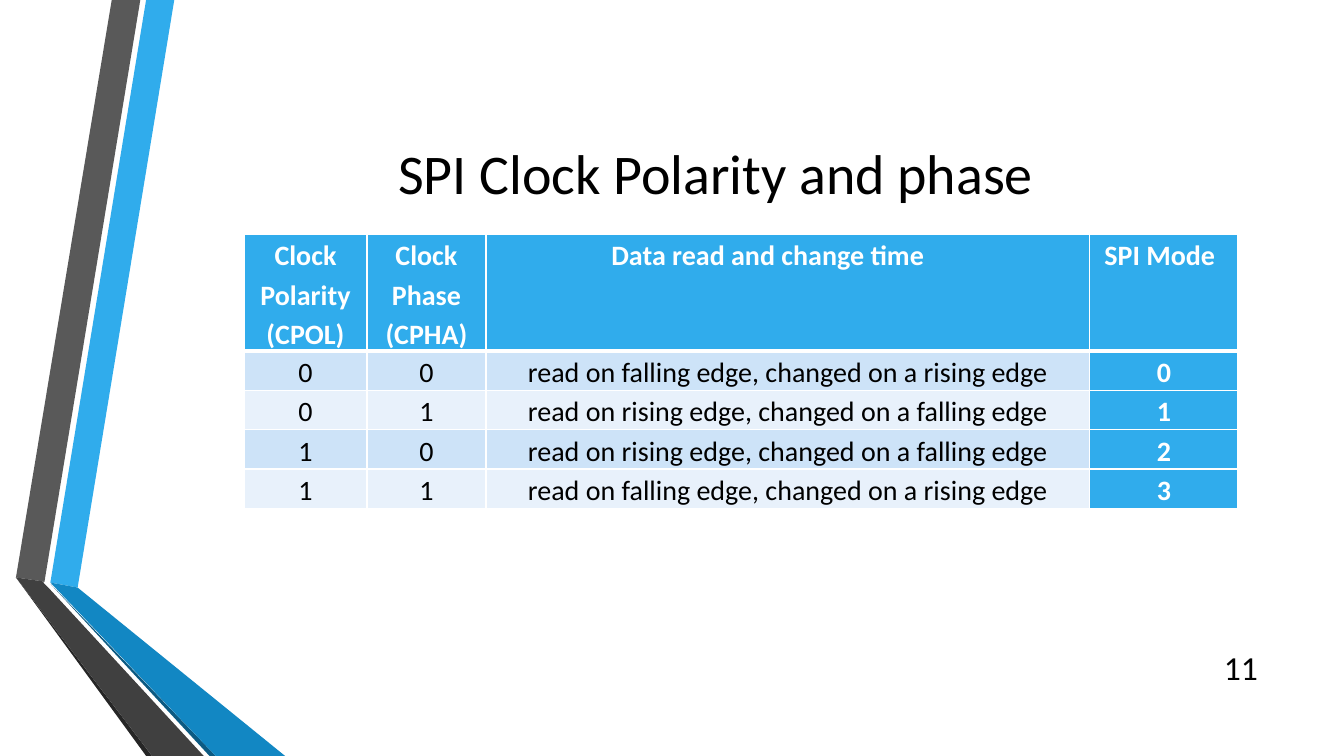
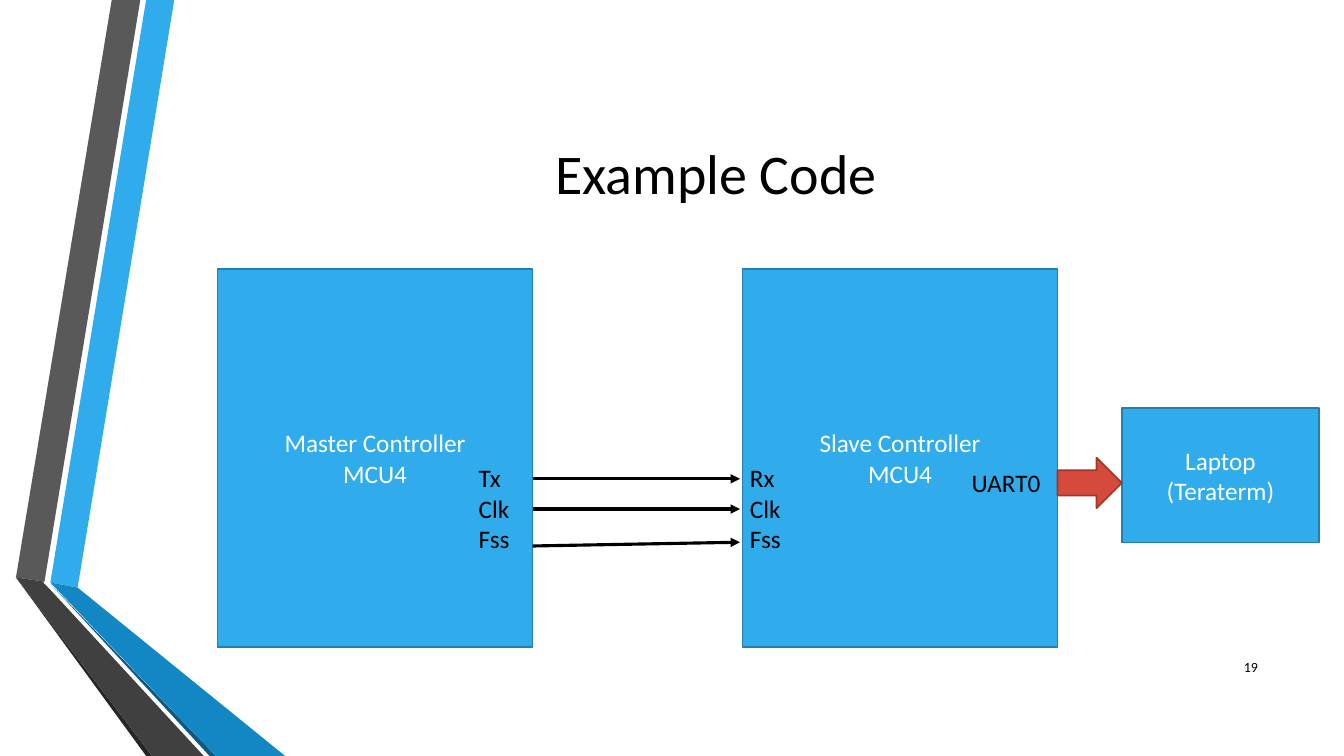
from dataclasses import dataclass
from typing import NamedTuple

from lxml import etree
from pptx import Presentation
from pptx.dml.color import RGBColor
from pptx.enum.shapes import MSO_CONNECTOR, MSO_SHAPE
from pptx.enum.text import MSO_ANCHOR, PP_ALIGN
from pptx.oxml.ns import qn
from pptx.shapes.autoshape import Shape
from pptx.slide import Slide, SlideLayout
from pptx.table import _Cell
from pptx.text.text import TextFrame
from pptx.util import Inches, Pt

SLIDE_WIDTH = Inches(13.333)
SLIDE_HEIGHT = Inches(7.5)
GRID_COLUMNS = 32
GRID_ROWS = 18
TITLE_ONLY = 5
LEFT, CENTER, RIGHT = PP_ALIGN.LEFT, PP_ALIGN.CENTER, PP_ALIGN.RIGHT
TOP, MIDDLE = MSO_ANCHOR.TOP, MSO_ANCHOR.MIDDLE
RECTANGLE, RIGHT_ARROW = MSO_SHAPE.RECTANGLE, MSO_SHAPE.RIGHT_ARROW
STRAIGHT = MSO_CONNECTOR.STRAIGHT


@dataclass(frozen=True)
class Theme:
    font: str = "Calibri"
    black: str = "000000"
    white: str = "FFFFFF"
    blue: str = "30ACEC"
    blue_edge: str = "247FAF"
    blue_fold: str = "1287C3"
    blue_shadow: str = "0C5A82"
    gray: str = "595959"
    gray_fold: str = "404040"
    gray_shadow: str = "262626"
    red: str = "D64A3B"
    red_edge: str = "9E372C"
    band_dark: str = "CDE3F8"
    band_light: str = "E8F1FB"
    title_size: float = 40
    table_size: float = 20
    label_size: float = 18
    edge_width: float = 1.25
    signal_width: float = 2.25
    cell_border: float = 1
    header_border: float = 3


THEME = Theme()


class Frame(NamedTuple):
    left: float
    top: float
    width: float
    height: float

    @property
    def right(self) -> float:
        return self.left + self.width

    def emu(self) -> tuple[int, int, int, int]:
        return (columns(self.left), rows(self.top), columns(self.width), rows(self.height))


class Ribbon(NamedTuple):
    color: str
    points: tuple[tuple[float, float], ...]


class TextStyle(NamedTuple):
    size: float
    color: str = THEME.black
    alignment: PP_ALIGN = LEFT
    anchor: MSO_ANCHOR = TOP
    bold: bool = False
    spacing: float = 1.0


class Block(NamedTuple):
    frame: Frame
    lines: tuple[str, ...]


class Signal(NamedTuple):
    start_row: float
    end_row: float


class TableColumn(NamedTuple):
    width: float
    heading: tuple[str, ...]
    values: tuple[str, ...]
    heading_shift: float = 0


TITLE_FRAME = Frame(3.89, 1.8, 26.3, 4.6)
NUMBER_FRAME = Frame(28.75, 15.4, 1.44, 0.96)
TITLE_STYLE = TextStyle(THEME.title_size, alignment=CENTER, anchor=MIDDLE)
PORT_STYLE = TextStyle(THEME.label_size)
BLOCK_STYLE = TextStyle(THEME.label_size, THEME.white, CENTER, MIDDLE)
BODY_STYLE = TextStyle(THEME.table_size, alignment=CENTER, spacing=1.15)
STRONG_STYLE = BODY_STYLE._replace(color=THEME.white, bold=True)

RIBBONS = (
    Ribbon(THEME.blue, ((1.2, 13.87), (1.85, 13.99), (4.15, 0), (3.48, 0))),
    Ribbon(THEME.gray, ((3.34, 0), (2.66, 0), (0.38, 13.75), (1.06, 13.85))),
    Ribbon(THEME.gray_shadow, ((0.38, 13.75), (3.48, 18), (3.62, 18))),
    Ribbon(THEME.blue_shadow, ((1.2, 13.9), (4.99, 18), (5.14, 18))),
    Ribbon(THEME.blue_fold, ((1.2, 13.87), (5.14, 18), (6.79, 18), (1.85, 13.99))),
    Ribbon(
        THEME.gray_fold,
        ((4.85, 18), (1.15, 13.99), (1.03, 13.87), (1.06, 13.85), (0.38, 13.75), (3.62, 18)),
    ),
)

FALLING = "read on falling edge, changed on a rising edge"
RISING = "read on rising edge, changed on a falling edge"
MODE_COLUMNS = (
    TableColumn(2.93, ("Clock", "Polarity (CPOL)"), ("0", "0", "1", "1")),
    TableColumn(2.83, ("Clock", "Phase (CPHA)"), ("0", "1", "0", "1")),
    TableColumn(14.38, ("Data read and change time",), (FALLING, RISING, RISING, FALLING), 0.96),
    TableColumn(3.53, ("SPI Mode",), ("0", "1", "2", "3"), 0.2),
)
TABLE_LEFT, TABLE_TOP = 5.81, 5.57
HEADER_HEIGHT, ROW_HEIGHT = 2.78, 0.94
CELL_MARGIN = 0.31

MASTER = Block(Frame(5.18, 6.4, 7.5, 9), ("Master Controller", "MCU4"))
SLAVE = Block(MASTER.frame._replace(left=MASTER.frame.right + 5), ("Slave Controller", "MCU4"))
LAPTOP = Block(Frame(26.71, 9.72, 4.7, 3.2), ("Laptop (Teraterm)",))
PORTS = (
    Block(Frame(11.16, 10.9, 1.53, 2.42), ("Tx", "Clk", "Fss")),
    Block(Frame(17.62, 10.9, 1.53, 2.42), ("Rx", "Clk", "Fss")),
    Block(Frame(22.9, 11.02, 2.28, 0.96), ("UART0",)),
)
SIGNALS = (Signal(11.4, 11.4), Signal(12.12, 12.12), Signal(13, 12.91))


def columns(count: float) -> int:
    return round(SLIDE_WIDTH * count / GRID_COLUMNS)


def rows(count: float) -> int:
    return round(SLIDE_HEIGHT * count / GRID_ROWS)


def rgb(color: str) -> RGBColor:
    return RGBColor.from_string(color)


def write_text(text_frame: TextFrame, lines: tuple[str, ...], style: TextStyle) -> None:
    text_frame.text = "\n".join(lines)
    text_frame.word_wrap = True
    text_frame.vertical_anchor = style.anchor
    for paragraph in text_frame.paragraphs:
        paragraph.alignment = style.alignment
        paragraph.line_spacing = style.spacing
        paragraph.font.name = THEME.font
        paragraph.font.size = Pt(style.size)
        paragraph.font.bold = style.bold
        paragraph.font.color.rgb = rgb(style.color)


def add_label(slide: Slide, block: Block, style: TextStyle) -> None:
    label = slide.shapes.add_textbox(*block.frame.emu())
    write_text(label.text_frame, block.lines, style)


def add_filled_shape(slide: Slide, kind: MSO_SHAPE, frame: Frame, fill: str, edge: str) -> Shape:
    shape = slide.shapes.add_shape(kind, *frame.emu())
    shape.shadow.inherit = False
    shape.fill.solid()
    shape.fill.fore_color.rgb = rgb(fill)
    shape.line.color.rgb = rgb(edge)
    shape.line.width = Pt(THEME.edge_width)
    return shape


def add_block(slide: Slide, block: Block) -> None:
    shape = add_filled_shape(slide, RECTANGLE, block.frame, THEME.blue, THEME.blue_edge)
    write_text(shape.text_frame, block.lines, BLOCK_STYLE)


def add_signal(slide: Slide, signal: Signal, start: float, end: float) -> None:
    connector = slide.shapes.add_connector(
        STRAIGHT, columns(start), rows(signal.start_row), columns(end), rows(signal.end_row)
    )
    connector.line.color.rgb = rgb(THEME.black)
    connector.line.width = Pt(THEME.signal_width)
    properties = connector.element.spPr
    etree.SubElement(properties.find(qn("a:ln")), qn("a:tailEnd"), type="triangle")
    etree.SubElement(properties, qn("a:effectLst"))


def add_ribbons(slide: Slide, layout: SlideLayout) -> None:
    for ribbon in RIBBONS:
        first, *rest = [(columns(x), rows(y)) for x, y in ribbon.points]
        builder = slide.shapes.build_freeform(*first, scale=1.0)
        builder.add_line_segments(rest, close=True)
        shape = builder.convert_to_shape()
        shape.shadow.inherit = False
        shape.fill.solid()
        shape.fill.fore_color.rgb = rgb(ribbon.color)
        shape.line.fill.background()
        layout.shapes.element.append(shape.element)


def start_slide(slide: Slide, title: str, number: str, number_size: float) -> None:
    heading = slide.shapes.title
    heading.left, heading.top, heading.width, heading.height = TITLE_FRAME.emu()
    write_text(heading.text_frame, (title,), TITLE_STYLE)
    number_style = TextStyle(number_size, alignment=RIGHT, anchor=MIDDLE)
    add_label(slide, Block(NUMBER_FRAME, (number,)), number_style)


def set_borders(cell: _Cell, top: float, bottom: float) -> None:
    properties = cell._tc.get_or_add_tcPr()
    widths = {"L": THEME.cell_border, "R": THEME.cell_border, "T": top, "B": bottom}
    for side, width in widths.items():
        line = etree.SubElement(properties, qn(f"a:ln{side}"), w=str(Pt(width)))
        fill = etree.SubElement(line, qn("a:solidFill"))
        etree.SubElement(fill, qn("a:srgbClr"), val=THEME.white)


def fill_cell(cell: _Cell, lines: tuple[str, ...], row: int, strong: bool, shift: float) -> None:
    header, thin = THEME.header_border, THEME.cell_border
    set_borders(cell, header if row == 1 else thin, header if row == 0 else thin)
    band = THEME.band_dark if row % 2 else THEME.band_light
    cell.fill.solid()
    cell.fill.fore_color.rgb = rgb(THEME.blue if strong else band)
    cell.margin_left = columns(CELL_MARGIN)
    cell.margin_right = columns(CELL_MARGIN + shift)
    cell.margin_top = cell.margin_bottom = 0
    write_text(cell.text_frame, lines, STRONG_STYLE if strong else BODY_STYLE)


def add_mode_table(slide: Slide) -> None:
    body_rows = len(MODE_COLUMNS[0].values)
    width = sum(column.width for column in MODE_COLUMNS)
    frame = Frame(TABLE_LEFT, TABLE_TOP, width, HEADER_HEIGHT + body_rows * ROW_HEIGHT)
    table = slide.shapes.add_table(body_rows + 1, len(MODE_COLUMNS), *frame.emu()).table
    table.last_col = True
    for row, table_row in enumerate(table.rows):
        table_row.height = rows(ROW_HEIGHT if row else HEADER_HEIGHT)
    for index, column in enumerate(MODE_COLUMNS):
        table.columns[index].width = columns(column.width)
        last = index == len(MODE_COLUMNS) - 1
        fill_cell(table.cell(0, index), column.heading, 0, True, column.heading_shift)
        for row, value in enumerate(column.values, start=1):
            fill_cell(table.cell(row, index), (value,), row, last, 0)


def add_wiring(slide: Slide) -> None:
    for block in (MASTER, SLAVE, LAPTOP):
        add_block(slide, block)
    for port in PORTS:
        add_label(slide, port, PORT_STYLE)
    for signal in SIGNALS:
        add_signal(slide, signal, MASTER.frame.right, PORTS[1].frame.left)
    link_left = SLAVE.frame.right
    link = Frame(link_left, 10.9, LAPTOP.frame.left - link_left, 1.2)
    add_filled_shape(slide, RIGHT_ARROW, link, THEME.red, THEME.red_edge)


def main() -> None:
    presentation = Presentation()
    presentation.slide_width = SLIDE_WIDTH
    presentation.slide_height = SLIDE_HEIGHT
    layout = presentation.slide_layouts[TITLE_ONLY]

    mode_slide = presentation.slides.add_slide(layout)
    add_ribbons(mode_slide, layout)
    start_slide(mode_slide, "SPI Clock Polarity and phase", "11", 24)
    add_mode_table(mode_slide)

    example_slide = presentation.slides.add_slide(layout)
    start_slide(example_slide, "Example Code", "19", 10)
    add_wiring(example_slide)

    presentation.save("out.pptx")


if __name__ == "__main__":
    main()
